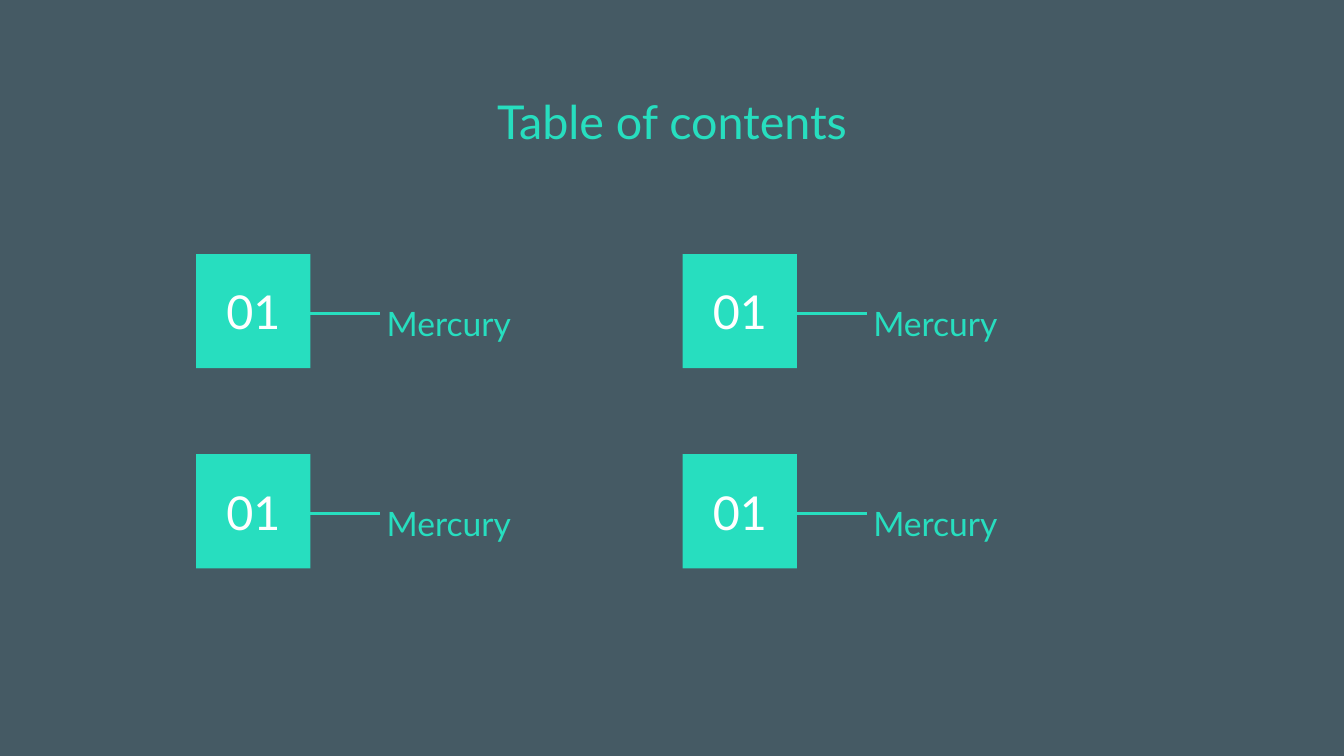
import pptx
import pptx.dml.color
import pptx.enum.shapes
import pptx.enum.text
import pptx.oxml.ns
import pptx.util
import lxml.etree

# Content: rows of (number, planet)
HEADING = "Table of contents"
ENTRIES = [
    [("01", "Mercury"), ("01", "Mercury")],
    [("01", "Mercury"), ("01", "Mercury")],
]

THEME = {
    "background": "455A64", "accent": "27DEBF", "number": "FFFFFF",
    "font": "Lato", "large": 25, "medium": 18, "rule": 1.5,
}

# Grid, in inches, on a 16:9 slide
WIDTH = 10
HEIGHT = WIDTH * 9 / 16
LEFT, TOP = 1.46, 1.89
COLUMN_STEP, ROW_STEP = 3.62, 1.49
TILE = 0.85
RULE_LENGTH, RULE_DROP = 0.52, 0.44
LABEL_SHIFT, LABEL_DROP = 1.04, 0.22
LABEL_WIDTH, LABEL_HEIGHT = 1.68, 0.45
HEADING_MARGIN, HEADING_TOP, HEADING_HEIGHT = 0.78, 0.59, 0.6

inches = pptx.util.Inches


def color(name):
    return pptx.dml.color.RGBColor.from_string(THEME[name])


def write(holder, text, *, ink="accent", size="large", anchor="TOP",
          spacing=None, after=None):
    frame = holder.text_frame
    frame.word_wrap = True
    frame.vertical_anchor = getattr(pptx.enum.text.MSO_ANCHOR, anchor)
    frame.margin_left = frame.margin_right = inches(0.1)
    frame.margin_top = frame.margin_bottom = inches(0.1)
    paragraph = frame.paragraphs[0]
    paragraph.alignment = pptx.enum.text.PP_ALIGN.CENTER
    paragraph.line_spacing = spacing
    if after is not None:
        paragraph.space_after = pptx.util.Pt(after)
    run = paragraph.add_run()
    run.text = text
    run.font.name = THEME["font"]
    run.font.size = pptx.util.Pt(THEME[size])
    run.font.color.rgb = color(ink)


def add_entry(shapes, left, top, number, planet):
    # Number tile
    tile = shapes.add_shape(pptx.enum.shapes.MSO_SHAPE.RECTANGLE,
                            *map(inches, (left, top, TILE, TILE)))
    tile.shadow.inherit = False
    tile.fill.solid()
    tile.fill.fore_color.rgb = color("accent")
    tile.line.fill.background()
    write(tile, number, ink="number", anchor="MIDDLE")

    # Rule from tile to label
    start, level = left + TILE, top + RULE_DROP
    rule = shapes.add_connector(
        pptx.enum.shapes.MSO_CONNECTOR.STRAIGHT,
        *map(inches, (start, level, start + RULE_LENGTH, level)))
    rule.line.color.rgb = color("accent")
    rule.line.width = pptx.util.Pt(THEME["rule"])
    lxml.etree.SubElement(rule._element.spPr,
                          pptx.oxml.ns.qn("a:effectLst"))

    # Planet label
    label = shapes.add_textbox(*map(inches, (
        left + LABEL_SHIFT, top + LABEL_DROP, LABEL_WIDTH, LABEL_HEIGHT)))
    write(label, planet, size="medium", spacing=1.15, after=12)


def main():
    deck = pptx.Presentation()
    deck.slide_width, deck.slide_height = inches(WIDTH), inches(HEIGHT)
    slide = deck.slides.add_slide(deck.slide_layouts[6])
    slide.background.fill.solid()
    slide.background.fill.fore_color.rgb = color("background")

    # Heading
    heading = slide.shapes.add_textbox(*map(inches, (
        HEADING_MARGIN, HEADING_TOP,
        WIDTH - 2 * HEADING_MARGIN, HEADING_HEIGHT)))
    write(heading, HEADING)

    # Grid of entries
    for row, entries in enumerate(ENTRIES):
        for column, (number, planet) in enumerate(entries):
            add_entry(slide.shapes, LEFT + column * COLUMN_STEP,
                      TOP + row * ROW_STEP, number, planet)

    deck.save("out.pptx")


if __name__ == "__main__":
    main()
